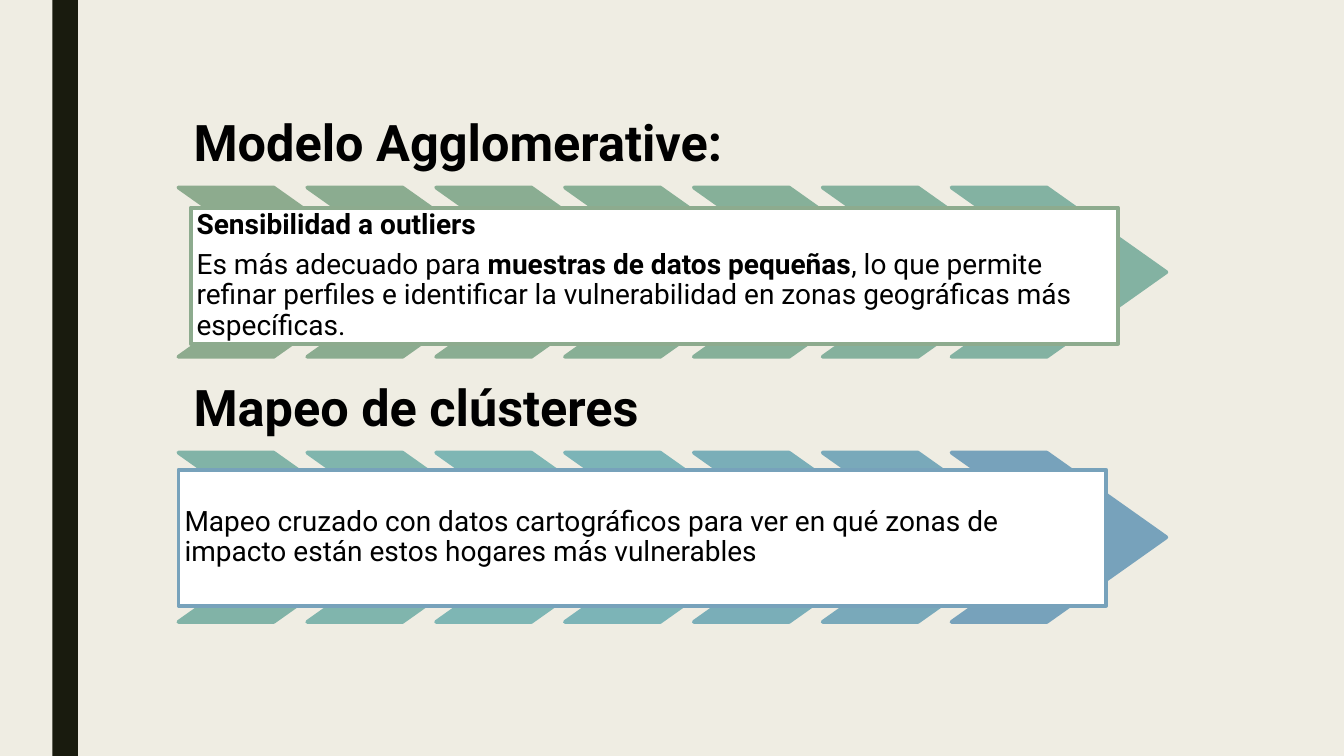
from pptx import Presentation
from pptx.dml.color import RGBColor
from pptx.enum.shapes import MSO_SHAPE
from pptx.enum.text import MSO_ANCHOR, MSO_AUTO_SIZE, PP_ALIGN
from pptx.oxml.ns import qn
from pptx.util import Inches, Pt

BACKGROUND = RGBColor(0xEF, 0xED, 0xE3)
BAR = RGBColor(0x19, 0x1B, 0x0E)
BLACK = RGBColor(0, 0, 0)
WHITE = RGBColor(0xFF, 0xFF, 0xFF)
GREENS = [RGBColor(0x8D, 0xAB, 0x8E), RGBColor(0x8B, 0xAC, 0x90),
          RGBColor(0x8A, 0xAD, 0x92), RGBColor(0x88, 0xAF, 0x95),
          RGBColor(0x86, 0xB0, 0x99), RGBColor(0x85, 0xB1, 0x9D),
          RGBColor(0x83, 0xB2, 0xA2)]
BLUES = [RGBColor(0x81, 0xB3, 0xA7), RGBColor(0x80, 0xB5, 0xAD),
         RGBColor(0x7E, 0xB6, 0xB4), RGBColor(0x7C, 0xB4, 0xB7),
         RGBColor(0x7A, 0xAE, 0xB8), RGBColor(0x79, 0xA9, 0xBA),
         RGBColor(0x77, 0xA2, 0xBB)]

FONT = "Roboto"
LEFT = 1.77
HEADING_HEIGHT = 0.83
CHEVRON_PITCH = 1.278
OUTLINE = Pt(2.75)

SENSITIVITY = [
    [("Sensibilidad a outliers", True)],
    [("Es más adecuado para ", False),
     ("muestras de datos pequeñas", True),
     (", lo que permite refinar perfiles e identificar la vulnerabilidad "
      "en zonas geográficas más específicas.", False)],
]
MAPPING = [
    [("Mapeo cruzado con datos cartográficos para ver en qué zonas de "
      "impacto están estos hogares más vulnerables", False)],
]


def place(shape, left, top, width, height):
    """Move a shape to a position given in inches."""
    shape.left, shape.top = Inches(left), Inches(top)
    shape.width, shape.height = Inches(width), Inches(height)


def paint(shape, fill, line):
    """Give a shape a solid fill and an outline."""
    shape.fill.solid()
    shape.fill.fore_color.rgb = fill
    shape.line.color.rgb = line
    shape.line.width = OUTLINE


def write(box, paragraphs, size, inset, anchor):
    """Fill a placeholder with unbulleted paragraphs of (text, bold) spans."""
    frame = box.text_frame
    frame.word_wrap = True
    frame.auto_size = MSO_AUTO_SIZE.NONE
    frame.vertical_anchor = anchor
    frame.margin_left = frame.margin_right = Inches(inset)
    frame.margin_top = frame.margin_bottom = Inches(inset)
    for index, spans in enumerate(paragraphs):
        para = frame.add_paragraph() if index else frame.paragraphs[0]
        properties = para._p.get_or_add_pPr()
        properties.set("marL", "0")
        properties.set("indent", "0")
        properties.append(properties.makeelement(qn("a:buNone"), {}))
        para.alignment = PP_ALIGN.LEFT
        para.line_spacing = 0.9
        para.space_before = Pt(0)
        para.space_after = Pt(size * 0.35)
        para.font.name = FONT
        para.font.size = Pt(size)
        para.font.color.rgb = BLACK
        for text, bold in spans:
            span = para.add_run()
            span.text = text
            span.font.bold = bold


def add_side_bar(page, width, height):
    """Draw the dark bar that runs down the left side."""
    bar = page.shapes.add_shape(MSO_SHAPE.RECTANGLE, int(width * 0.039), 0,
                                int(width * 0.019), height)
    bar.shadow.inherit = False
    bar.fill.solid()
    bar.fill.fore_color.rgb = BAR
    bar.line.fill.background()


def add_section(page, top, heading, title, body, paragraphs, card, colors, edge):
    """Lay out a heading, a row of chevrons and a card over them."""
    place(heading, LEFT, top, 9.09, HEADING_HEIGHT)
    write(heading, [[(title, True)]], 36, 0.15, MSO_ANCHOR.BOTTOM)
    for index, color in enumerate(colors):
        chevron = page.shapes.add_shape(MSO_SHAPE.CHEVRON, 0, 0, 0, 0)
        place(chevron, LEFT + index * CHEVRON_PITCH, top + HEADING_HEIGHT, 2.13, 1.68)
        chevron.adjustments[0] = 0.706
        chevron.shadow.inherit = False
        paint(chevron, color, color)
    card_left, card_top = card
    place(body, LEFT + card_left, top + card_top, 9.2, 1.35)
    paint(body, WHITE, edge)
    write(body, paragraphs, 20, 0.06, MSO_ANCHOR.MIDDLE)
    body.element.getparent().append(body.element)


def main():
    """Build the slide and save it."""
    deck = Presentation()
    deck.slide_width, deck.slide_height = Inches(13.33), Inches(7.5)
    page = deck.slides.add_slide(deck.slide_layouts.get_by_name("Comparison"))
    page.background.fill.solid()
    page.background.fill.fore_color.rgb = BACKGROUND
    holders = {holder.placeholder_format.idx: holder for holder in page.placeholders}
    spare = holders[1].element
    spare.getparent().remove(spare)
    add_side_bar(page, deck.slide_width, deck.slide_height)
    add_section(page, 1.03, holders[0], "Modelo Agglomerative:",
                holders[2], SENSITIVITY, (0.12, 1.03), GREENS, GREENS[0])
    add_section(page, 3.66, holders[3], "Mapeo de clústeres",
                holders[4], MAPPING, (0, 1), BLUES, BLUES[-1])
    deck.save("out.pptx")


if __name__ == "__main__":
    main()
